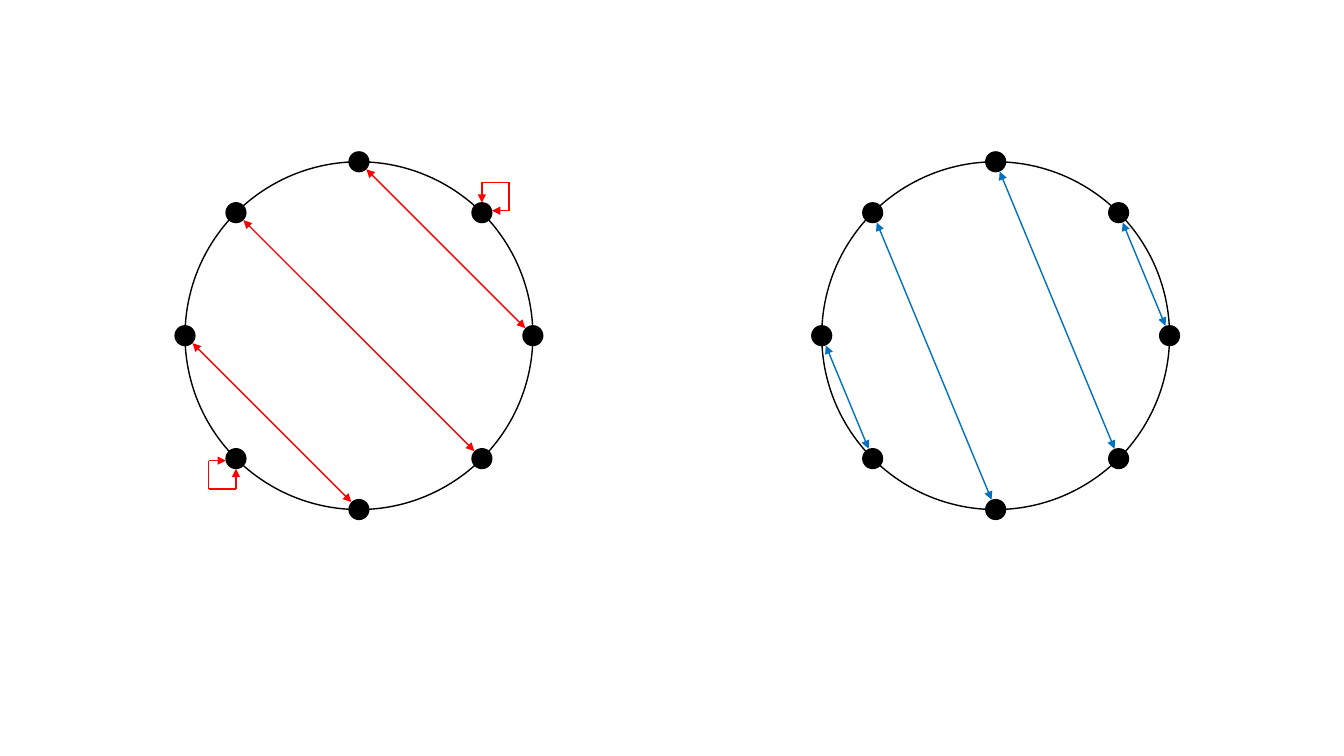
from dataclasses import dataclass
from math import cos, hypot, pi, sin

from lxml.etree import SubElement
from pptx import Presentation
from pptx.dml.color import RGBColor
from pptx.enum.shapes import MSO_CONNECTOR, MSO_SHAPE
from pptx.oxml.ns import qn
from pptx.shapes.shapetree import GroupShapes, SlideShapes
from pptx.util import Inches, Pt

BLACK = RGBColor(0x00, 0x00, 0x00)
RED = RGBColor(0xFF, 0x00, 0x00)
BLUE = RGBColor(0x00, 0x70, 0xC0)

CENTER_Y = 3.33
RING_RADIUS = 1.725
DOT_RADIUS = 0.105
DOT_COUNT = 8
LINE_WIDTH = Pt(1)

# Self-loop measures from the centre of its dot
LOOP_REACH_X = 0.27
LOOP_REACH_Y = 0.3
LOOP_SHIFT = 0.02
LOOP_GAP = 0.1

Point = tuple[float, float]


@dataclass(frozen=True)
class Reflection:
    """Dots are numbered clockwise from the top; loops map a dot to itself."""
    center_x: float
    color: RGBColor
    pairs: tuple[tuple[int, int], ...]
    loops: tuple[tuple[int, int], ...] = ()  # dot number, outward direction

    def dot_center(self, number: int) -> Point:
        angle = 2 * pi * number / DOT_COUNT
        return (self.center_x + RING_RADIUS * sin(angle),
                CENTER_Y - RING_RADIUS * cos(angle))


REFLECTIONS = (
    Reflection(9.875, BLUE, ((0, 3), (7, 4), (6, 5), (1, 2))),
    Reflection(3.56, RED, ((6, 4), (7, 3), (0, 2)), ((5, -1), (1, 1))),
)


def add_circle(shapes: SlideShapes, center: Point, radius: float, filled: bool) -> None:
    circle = shapes.add_shape(
        MSO_SHAPE.FLOWCHART_CONNECTOR,
        Inches(center[0] - radius), Inches(center[1] - radius),
        Inches(2 * radius), Inches(2 * radius))
    circle.shadow.inherit = False
    if filled:
        circle.fill.solid()
        circle.fill.fore_color.rgb = BLACK
        circle.line.fill.background()
    else:
        circle.fill.background()
        circle.line.color.rgb = BLACK
        circle.line.width = LINE_WIDTH


def add_line(shapes: SlideShapes | GroupShapes, start: Point, end: Point,
             color: RGBColor, arrow_ends: tuple[str, ...] = ()) -> None:
    line = shapes.add_connector(
        MSO_CONNECTOR.STRAIGHT, *(Inches(length) for length in (*start, *end)))
    line.line.color.rgb = color
    line.line.width = LINE_WIDTH
    outline = line.line._get_or_add_ln()
    for arrow_end in arrow_ends:
        SubElement(outline, qn(f"a:{arrow_end}"), type="triangle")
    SubElement(line._element.spPr, qn("a:effectLst"))


def add_pair_arrow(shapes: SlideShapes, first: Point, second: Point,
                   color: RGBColor) -> None:
    """Double arrow that stops at the edges of both dots."""
    run, rise = second[0] - first[0], second[1] - first[1]
    scale = DOT_RADIUS / hypot(run, rise)
    trim_x, trim_y = run * scale, rise * scale
    add_line(shapes, (first[0] + trim_x, first[1] + trim_y),
             (second[0] - trim_x, second[1] - trim_y), color, ("headEnd", "tailEnd"))


def add_self_loop(shapes: SlideShapes, dot: Point, outward: int,
                  color: RGBColor) -> None:
    def offset(across: float, up: float) -> Point:
        return dot[0] + outward * across, dot[1] - outward * up

    above = offset(0, LOOP_REACH_Y)
    corner = offset(LOOP_REACH_X, LOOP_REACH_Y)
    beside = offset(LOOP_REACH_X, LOOP_SHIFT)
    loop = shapes.add_group_shape().shapes
    add_line(loop, above, offset(0, LOOP_GAP), color, ("tailEnd",))
    add_line(loop, beside, offset(LOOP_GAP, LOOP_SHIFT), color, ("tailEnd",))
    add_line(loop, above, corner, color)
    add_line(loop, corner, beside, color)


def main() -> None:
    presentation = Presentation()
    presentation.slide_width = Inches(13.33)
    presentation.slide_height = Inches(7.5)
    shapes = presentation.slides.add_slide(presentation.slide_layouts[6]).shapes

    for reflection in REFLECTIONS:
        # Ring and its dots
        add_circle(shapes, (reflection.center_x, CENTER_Y), RING_RADIUS, filled=False)
        for number in range(DOT_COUNT):
            add_circle(shapes, reflection.dot_center(number), DOT_RADIUS, filled=True)
        # Swapped pairs and fixed dots
        for first, second in reflection.pairs:
            add_pair_arrow(shapes, reflection.dot_center(first),
                           reflection.dot_center(second), reflection.color)
        for number, outward in reflection.loops:
            add_self_loop(shapes, reflection.dot_center(number), outward, reflection.color)

    presentation.save("out.pptx")


if __name__ == "__main__":
    main()
